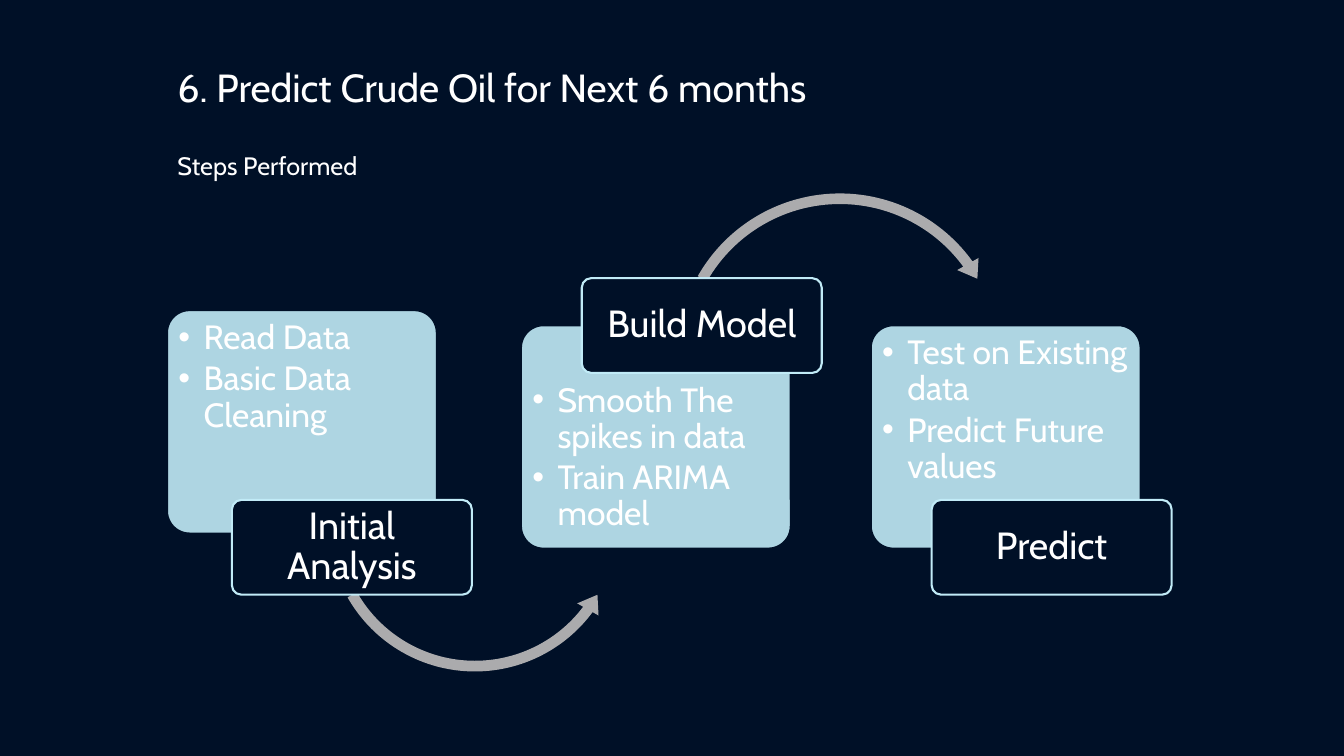
"""Build the crude oil prediction slide with its three linked steps."""
from dataclasses import dataclass
from typing import Any, Optional

from lxml.etree import SubElement as Sub
from pptx import Presentation
from pptx.dml.color import RGBColor as RGB
from pptx.enum.shapes import MSO_SHAPE as Kind
from pptx.enum.text import MSO_ANCHOR as Anchor, MSO_AUTO_SIZE as Fit, PP_ALIGN as Align
from pptx.oxml.ns import qn
from pptx.util import Inches, Pt

Box = tuple[float, float, float, float]


@dataclass(frozen=True)
class Theme:
    """Colours, font and type sizes."""
    navy: RGB = RGB.from_string("001027")
    sky: RGB = RGB.from_string("C1EBF7")
    grey: RGB = RGB.from_string("ABABAD")
    white: RGB = RGB.from_string("FFFFFF")
    font: str = "Cabin"
    title: int = 28
    label: int = 27
    item: int = 24
    intro: int = 18


@dataclass(frozen=True)
class Arc:
    """A curved arrow: widths in percent, angles in degrees."""
    kind: Any
    box: Box
    width: float
    tip: float
    end: float
    start: float
    head: float


@dataclass(frozen=True)
class Step:
    """A card with its list, its label and the arrow that leaves it."""
    label: str
    items: tuple[str, ...]
    left: float
    top: float
    high: bool = False
    arc: Optional[Arc] = None


THEME = Theme()
PITCH = 3.47
STEPS = (
    Step("Initial Analysis", ("Read Data", "Basic Data Cleaning"), 1.66, 3.08,
         arc=Arc(Kind.LEFT_CIRCULAR_ARROW, (3.19, 3.69, 3.04, 3.04),
                 3.5, 7.13, 36.72, 150.41, 4)),
    Step("Build Model", ("Smooth The spikes in data", "Train ARIMA model"), 5.17, 3.23, True,
         arc=Arc(Kind.CIRCULAR_ARROW, (6.64, 1.85, 3.38, 3.38),
                 3.1, 6.36, 324.05, 209.59, 3.6)),
    Step("Predict", ("Test on Existing data", "Predict Future values"), 8.64, 3.23),
)


def apply(target: Any, form: dict[str, Any]) -> None:
    """Set each named value on the target."""
    for name, value in form.items():
        setattr(target, name, value)


def place(shape: Any, box: Box) -> None:
    """Move and size a shape."""
    apply(shape, dict(zip(("left", "top", "width", "height"), map(Inches, box))))


def write(shape: Any, lines: tuple[str, ...], size: int, pad: tuple[float, float],
          para: dict[str, Any], anchor: Any = Anchor.TOP) -> None:
    """Fill a shape with styled paragraphs."""
    frame = shape.text_frame
    side, edge = map(Inches, pad)
    apply(frame, {"text": "\n".join(lines), "word_wrap": True, "auto_size": Fit.NONE,
                  "vertical_anchor": anchor, "margin_left": side, "margin_right": side,
                  "margin_top": edge, "margin_bottom": edge})
    for part in frame.paragraphs:
        apply(part, {"alignment": Align.LEFT, "space_before": Pt(0), **para})
        for run in part.runs:
            apply(run.font, {"name": THEME.font, "size": Pt(size), "bold": False})
            run.font.color.rgb = THEME.white


def draw(slide: Any, kind: Any, box: Box, fill: RGB, line: Optional[RGB] = None,
         width: float = 1) -> Any:
    """Add a flat shape."""
    shape = slide.shapes.add_shape(kind, *map(Inches, box))
    shape.shadow.inherit = False
    shape.fill.solid()
    shape.fill.fore_color.rgb = fill
    if line is None:
        shape.line.fill.background()
    else:
        shape.line.color.rgb = line
        shape.line.width = Pt(width)
    return shape


def round_box(slide: Any, box: Box, fill: RGB, line: RGB, width: float) -> Any:
    """Add a box with round corners."""
    shape = draw(slide, Kind.ROUNDED_RECTANGLE, box, fill, line, width)
    shape.adjustments[0] = 0.1
    return shape


def add_card(slide: Any, step: Step) -> None:
    """Add the pale card of a step."""
    card = round_box(slide, (step.left, step.top, 2.67, 2.21), THEME.sky, THEME.navy, 1)
    tone = card.fill._xPr.find(qn("a:solidFill"))[0]
    Sub(tone, qn("a:alpha"), val="90000")


def add_list(slide: Any, holder: Any, step: Step) -> None:
    """Put the list of a step on its card."""
    drop = 0.52 if step.high else 0.05
    place(holder, (step.left + 0.06, step.top + drop, 2.57, 1.63))
    write(holder, step.items, THEME.item, (0.05, 0.05),
          {"line_spacing": 0.9, "space_after": Pt(3.6)})
    for part in holder.text_frame.paragraphs:
        props = part._p.get_or_add_pPr()
        apply_indent = {"marL": Inches(0.25), "indent": Inches(-0.25)}
        for name, value in apply_indent.items():
            props.set(name, str(value))
        Sub(props, qn("a:buFont"), typeface="Arial")
        Sub(props, qn("a:buChar"), char="•")
    slide.shapes._spTree.append(holder._element)


def add_arc(slide: Any, arc: Arc) -> None:
    """Add a curved arrow between two steps."""
    shape = draw(slide, arc.kind, arc.box, THEME.grey)
    turns = (angle * 0.6 for angle in (arc.tip, arc.end, arc.start))
    for spot, value in enumerate((arc.width / 100, *turns, arc.head / 100)):
        shape.adjustments[spot] = value


def add_label(slide: Any, step: Step, spot: int) -> None:
    """Add the dark label of a step."""
    box = (2.3 + PITCH * spot, 2.76 if step.high else 4.96, 2.38, 0.94)
    label = round_box(slide, box, THEME.navy, THEME.sky, 1.5)
    write(label, (step.label,), THEME.label, (0.06, 0.04),
          {"alignment": Align.CENTER, "line_spacing": 0.9}, Anchor.MIDDLE)


def main() -> None:
    """Build and save the slide."""
    deck = Presentation()
    apply(deck, {"slide_width": Inches(13.33), "slide_height": Inches(7.5)})
    slide = deck.slides.add_slide(deck.slide_layouts.get_by_name("Comparison"))
    slide.background.fill.solid()
    slide.background.fill.fore_color.rgb = THEME.navy
    title, intro, *lists = list(slide.placeholders)[:5]
    for spare in list(slide.placeholders)[5:]:
        spare._element.getparent().remove(spare._element)

    place(title, (1.66, 0.58, 8.17, 0.57))
    write(title, ("6. Predict Crude Oil for Next 6 months",), THEME.title, (0.1, 0.05), {})
    place(intro, (1.66, 1.44, 2.75, 0.4))
    write(intro, ("Steps Performed",), THEME.intro, (0.1, 0.05), {})

    for spot, (step, holder) in enumerate(zip(STEPS, lists)):
        add_card(slide, step)
        add_list(slide, holder, step)
        if step.arc:
            add_arc(slide, step.arc)
        add_label(slide, step, spot)
    deck.save("out.pptx")


if __name__ == "__main__":
    main()
